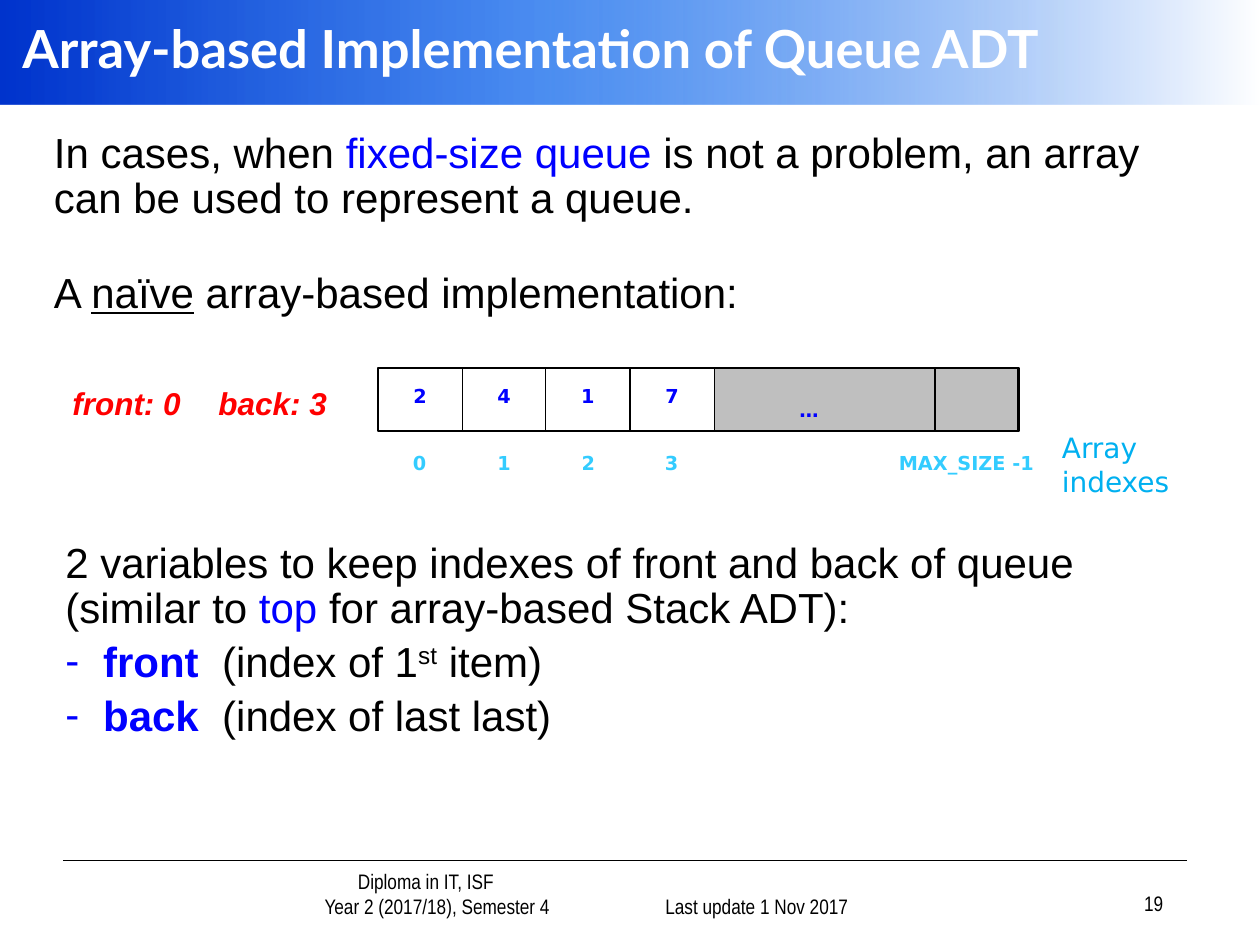
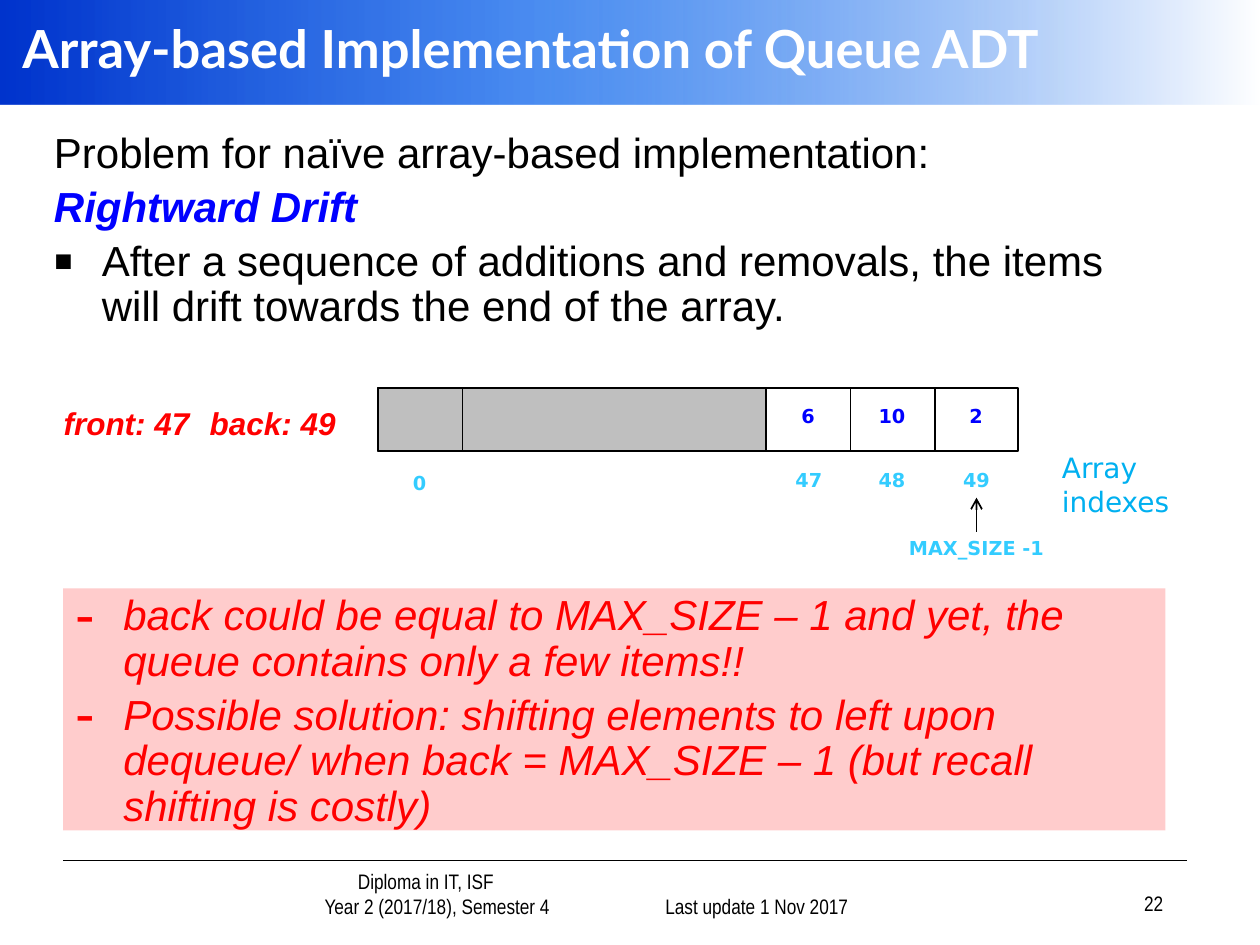
"""Build two slides on the array-based implementation of the queue ADT."""
from lxml import etree
from pptx import Presentation
from pptx import util as u
from pptx.dml.color import RGBColor
from pptx.enum import shapes, text
from pptx.oxml import ns

BLACK = RGBColor(0x00, 0x00, 0x00)
WHITE = RGBColor(0xFF, 0xFF, 0xFF)
BLUE = RGBColor(0x00, 0x00, 0xFF)
RED = RGBColor(0xFF, 0x00, 0x00)
SKY = RGBColor(0x33, 0xCC, 0xFF)
CYAN = RGBColor(0x00, 0xB0, 0xF0)
GREY = RGBColor(0xBF, 0xBF, 0xBF)
PINK = RGBColor(0xFF, 0xCC, 0xCC)
BAND = [(0, RGBColor(0x00, 0x33, 0xCC), 100), (43, RGBColor(0x00, 0x5E, 0xEB), 70), (100, WHITE, 100)]

TITLE = {"name": "Lato", "size": u.Pt(30), "bold": True, "color": WHITE}
BODY = {"name": "Arial", "size": u.Pt(24), "color": BLACK}
FOOT = {"name": "Arial Narrow", "size": u.Pt(12), "color": BLACK}
STATE = {"name": "Arial", "size": u.Pt(18), "bold": True, "italic": True, "color": RED}
ITEM = {"name": "DejaVu Sans", "size": u.Pt(11), "bold": True, "color": BLUE}
INDEX = {**ITEM, "color": SKY}
NOTE = {"name": "DejaVu Sans", "size": u.Pt(16), "color": CYAN}
KEY = {"bold": True, "color": BLUE}
WIDE_SPACE = (" ", {"spc": 670})

LEFT, CENTER, RIGHT = text.PP_ALIGN.LEFT, text.PP_ALIGN.CENTER, text.PP_ALIGN.RIGHT
TOP, MIDDLE, BOTTOM = text.MSO_ANCHOR.TOP, text.MSO_ANCHOR.MIDDLE, text.MSO_ANCHOR.BOTTOM
CELL, ARRAY_LEFT, ARRAY_WIDTH, ARRAY_HEIGHT = 2 / 3, 3, 5.08, 0.5


def put(s, box, paras, font=None, align=LEFT, anchor=TOP, fill=None, line=None):
    """Add a rectangle with paragraphs of (options, runs)."""
    box = [u.Inches(v) for v in box]
    if fill or line:
        sp = s.shapes.add_shape(shapes.MSO_SHAPE.RECTANGLE, *box)
        sp.shadow.inherit = False
    else:
        sp = s.shapes.add_textbox(*box)
    for part, color in ((sp.fill, fill), (sp.line.fill, line)):
        if color:
            part.solid()
            part.fore_color.rgb = color
        else:
            part.background()
    if line:
        sp.line.width = u.Pt(1)
    tf = sp.text_frame
    tf.word_wrap, tf.vertical_anchor = True, anchor
    for i, (options, runs) in enumerate(paras):
        p = tf.paragraphs[0] if i == 0 else tf.add_paragraph()
        p.alignment = align
        for key in ("line_spacing", "space_before"):
            if key in options:
                setattr(p, key, options[key])
        pPr = p._p.get_or_add_pPr()
        pPr.set("marL", str(u.Inches(options.get("indent", 0))))
        if "bullet" in options:
            char, color, percent = options["bullet"]
            pPr.set("indent", str(-u.Inches(options["indent"])))
            clr = etree.SubElement(pPr, ns.qn("a:buClr"))
            etree.SubElement(clr, ns.qn("a:srgbClr"), val=str(color))
            etree.SubElement(pPr, ns.qn("a:buSzPct"), val=str(percent * 1000))
            etree.SubElement(pPr, ns.qn("a:buFont"), typeface="Arial")
            etree.SubElement(pPr, ns.qn("a:buChar"), char=char)
        for words, fmt in runs:
            r = p.add_run()
            r.text = words
            for key, value in {**font, **fmt}.items():
                if key == "color":
                    r.font.color.rgb = value
                elif key in ("spc", "baseline"):
                    r._r.get_or_add_rPr().set(key, str(value))
                else:
                    setattr(r.font, key, value)
    return sp


def rule(s, x1, y1, x2, y2, arrow=False):
    """Draw a thin black line."""
    c = s.shapes.add_connector(shapes.MSO_CONNECTOR.STRAIGHT, *[u.Inches(v) for v in (x1, y1, x2, y2)])
    c.line.color.rgb, c.line.width = BLACK, u.Pt(1)
    if arrow:
        etree.SubElement(c.line._get_or_add_ln(), ns.qn("a:tailEnd"), type="arrow")
    etree.SubElement(c._element.spPr, ns.qn("a:effectLst"))


FIRST = {"line_spacing": 0.9}
NEXT = {**FIRST, "space_before": u.Pt(5)}
DASH = {**NEXT, "indent": 0.3, "bullet": ("-", BLUE, 100)}
SQUARE = {**NEXT, "indent": 0.38, "bullet": ("▪", BLACK, 140)}
WARNING = {**NEXT, "indent": 0.38, "bullet": ("-", RED, 140)}

slides = [
    {
        "number": "19", "top": 2.92, "front": "front: 0", "back": "back: 3",
        "unused": (5.67, 2.42), "dividers": [3.67, 4.33, 5, 5.67, 7.42],
        "items": ["2", "4", "1", "7"], "items_left": ARRAY_LEFT,
        "labels": [("0", 3.33, 3.53), ("1", 4, 3.53), ("2", 4.67, 3.53), ("3", 5.33, 3.53),
                   ("MAX_SIZE -1", 7.67, 3.53)],
        "body": [
            (FIRST, [("In cases, when ", {}), ("fixed-size queue ", {"color": BLUE}),
                     ("is not a problem, an array can be used to represent a queue.", {})]),
            ({**FIRST, "space_before": u.Pt(28)},
             [("A ", {}), ("naïve", {"underline": True}), (" array-based implementation:", {})]),
        ],
    },
    {
        "number": "22", "top": 3.08, "front": "front: 47", "back": "back: 49",
        "unused": (3, 3.08), "dividers": [3.67, 6.08, 6.75, 7.42],
        "items": ["6", "10", "2"], "items_left": 6.08,
        "labels": [("0", 3.33, 3.69), ("47", 6.42, 3.67), ("48", 7.08, 3.67), ("49", 7.75, 3.67),
                   ("MAX_SIZE -1", 7.75, 4.21)],
        "body": [
            (FIRST, [("Problem for naïve array-based implementation:", {})]),
            (NEXT, [("Rightward Drift", {**KEY, "italic": True})]),
            (SQUARE, [("After a sequence of additions and removals, the items will "
                       "drift towards the end of the array.", {})]),
        ],
    },
]

prs = Presentation()
prs.slide_width, prs.slide_height = u.Inches(10), u.Inches(7.5)

for d in slides:
    s = prs.slides.add_slide(prs.slide_layouts[6])
    top = d["top"]

    sp = put(s, (0, 0, 10, 0.83), [], fill=WHITE)
    sp.fill.gradient()
    sp.fill.gradient_angle = 0
    stops = sp._element.spPr.find(".//" + ns.qn("a:gsLst"))
    for gs in list(stops):
        stops.remove(gs)
    for pos, color, alpha in BAND:
        gs = etree.SubElement(stops, ns.qn("a:gs"), pos=str(pos * 1000))
        clr = etree.SubElement(gs, ns.qn("a:srgbClr"), val=str(color))
        if alpha < 100:
            etree.SubElement(clr, ns.qn("a:alpha"), val=str(alpha * 1000))
    put(s, (0.08, 0, 9.9, 0.75), [({}, [("Array-based Implementation of Queue ADT", {})])], TITLE, anchor=MIDDLE)

    rule(s, 0.5, 6.83, 9.42, 6.83)
    put(s, (1.68, 6.92, 2.9, 0.42),
        [({"indent": 0.5}, [("Diploma in IT, ISF", {})]),
         ({"indent": 0.68}, [("Year 2 (2017/18), Semester 4", {})])], FOOT, CENTER, BOTTOM)
    for words, x, y in (("Last update 1 Nov 2017", 4.75, 6.92), (d["number"], 7.25, 6.9)):
        put(s, (x, y, 2.08, 0.42), [({}, [(words, {})])], FOOT, RIGHT, BOTTOM)

    put(s, (0.33, 1, 9.08, 1.92), d["body"], BODY)

    x, width = d["unused"]
    put(s, (x, top, width, ARRAY_HEIGHT), [], fill=GREY, line=BLACK)
    put(s, (ARRAY_LEFT, top, ARRAY_WIDTH, ARRAY_HEIGHT), [], line=BLACK)
    for x in d["dividers"]:
        rule(s, x, top + ARRAY_HEIGHT, x, top)
    for i, item in enumerate(d["items"]):
        put(s, (d["items_left"] + (i + 0.5) * CELL - 0.5, top + 0.08, 1, 0.29),
            [({}, [(item, {})])], ITEM, CENTER)
    for label, x, y in d["labels"]:
        put(s, (x - 1, y, 2, 0.29), [({}, [(label, {})])], INDEX, CENTER)
    for words, x in ((d["front"], 0.17), (d["back"], 1.33)):
        put(s, (x, top + 0.08, 1.67, 0.4), [({}, [(words, {})])], STATE, CENTER)
    put(s, (8.33, top + 0.45, 1.67, 0.64), [({}, [("Array indexes", {})])], NOTE)

naive, drift = prs.slides
put(naive, (5.92, 3.11, 1, 0.29), [({}, [("…", {})])], ITEM, CENTER)
put(naive, (0.42, 4.25, 9.08, 1.92), [
    (FIRST, [("2 variables to keep indexes of front and back of queue (similar to ", {}),
             ("top", {"color": BLUE}), (" for array-based Stack ADT):", {})]),
    (DASH, [("front", KEY), WIDE_SPACE, ("(index of 1", {}), ("st", {"baseline": 30000}), (" item)", {})]),
    (DASH, [("back", KEY), WIDE_SPACE, ("(index of last last)", {})]),
], BODY)

rule(drift, 7.75, 4.22, 7.75, 3.95, arrow=True)
put(drift, (0.5, 4.67, 8.75, 1.92), [
    (WARNING, [("back could be equal to MAX_SIZE – 1 and yet, the queue contains only a few items!!", {})]),
    (WARNING, [("Possible solution: shifting elements to left upon dequeue/ when back = MAX_SIZE – 1 "
                "(but recall shifting is costly)", {})]),
], {**BODY, "italic": True, "color": RED}, fill=PINK)

prs.save("out.pptx")
